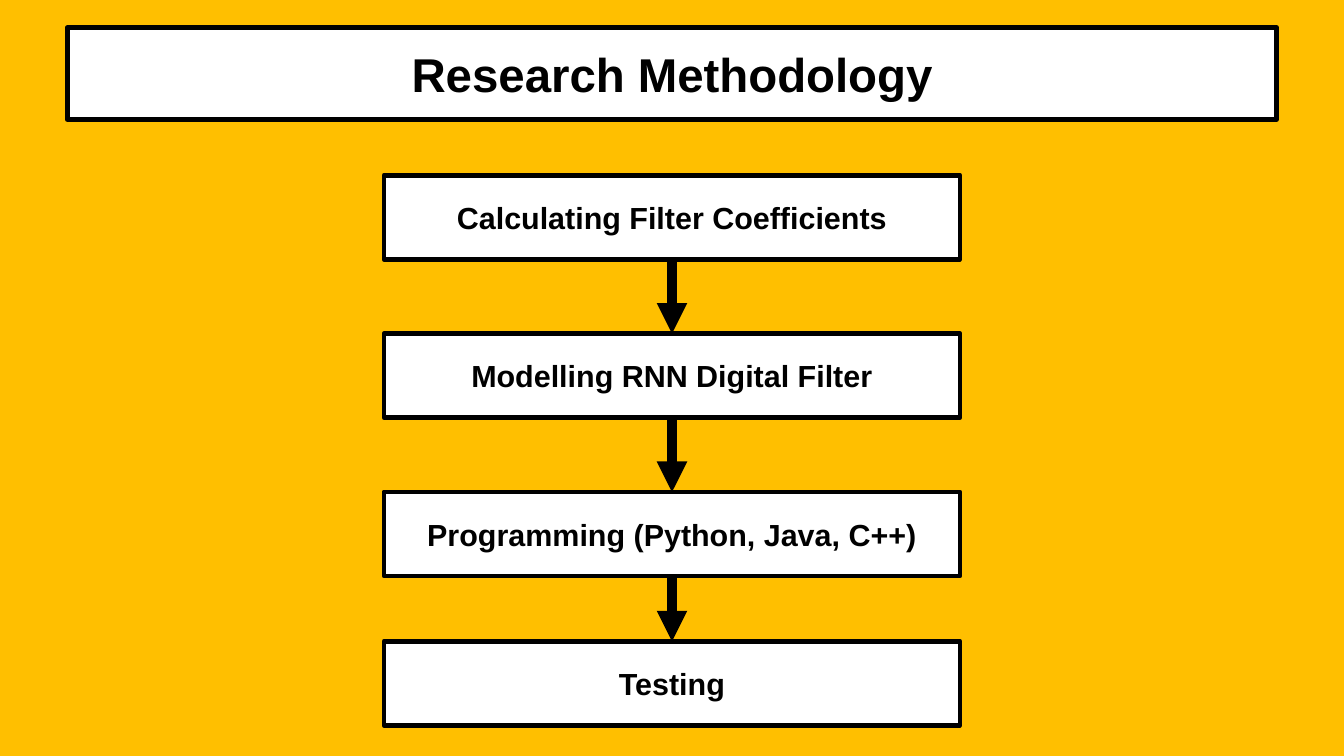
from dataclasses import dataclass
from itertools import pairwise

from lxml.etree import SubElement
from pptx import Presentation
from pptx.dml.color import RGBColor
from pptx.enum.shapes import MSO_CONNECTOR, MSO_SHAPE
from pptx.enum.text import MSO_ANCHOR, PP_ALIGN
from pptx.oxml.ns import qn
from pptx.shapes.autoshape import Shape
from pptx.slide import Slide
from pptx.util import Cm, Pt

COLORS = {"background": "FFBF00", "panel": "FFFFFF", "ink": "000000"}
BOTTOM, TOP = 2, 0


@dataclass(frozen=True)
class Panel:
    text: str
    top: float
    left: float = 8
    width: float = 12
    height: float = 1.75
    size: int = 18


TITLE = Panel("Research Methodology", 0.58, left=1.4, width=25.2, height=1.91, size=28)
STEPS = [
    Panel("Calculating Filter Coefficients", 3.65),
    Panel("Modelling RNN Digital Filter", 6.95),
    Panel("Programming (Python, Java, C++)", 10.25),
    Panel("Testing", 13.36),
]


def color(name: str) -> RGBColor:
    return RGBColor.from_string(COLORS[name])


def draw_panel(page: Slide, panel: Panel) -> Shape:
    box = page.shapes.add_shape(
        MSO_SHAPE.RECTANGLE,
        Cm(panel.left), Cm(panel.top), Cm(panel.width), Cm(panel.height),
    )
    box.shadow.inherit = False
    box.fill.solid()
    box.fill.fore_color.rgb = color("panel")
    box.line.color.rgb = color("ink")
    box.line.width = Pt(2.83)
    frame = box.text_frame
    frame.word_wrap = True
    frame.vertical_anchor = MSO_ANCHOR.MIDDLE
    frame.margin_left = frame.margin_right = Cm(0.05)
    frame.margin_top = frame.margin_bottom = Cm(0.05)
    frame.text = panel.text
    paragraph = frame.paragraphs[0]
    paragraph.alignment = PP_ALIGN.CENTER
    font = paragraph.runs[0].font
    font.name = "Arial"
    font.size = Pt(panel.size)
    font.bold = True
    font.color.rgb = color("ink")
    return box


def draw_arrow(page: Slide, upper: Shape, lower: Shape) -> None:
    arrow = page.shapes.add_connector(MSO_CONNECTOR.STRAIGHT, 0, 0, 0, 0)
    arrow.begin_connect(upper, BOTTOM)
    arrow.end_connect(lower, TOP)
    arrow.line.color.rgb = color("ink")
    arrow.line.width = Pt(6)
    SubElement(arrow.line._get_or_add_ln(), qn("a:tailEnd"), type="triangle")
    SubElement(arrow._element.spPr, qn("a:effectLst"))


def main() -> None:
    deck = Presentation()
    deck.slide_width, deck.slide_height = Cm(28), Cm(15.75)
    page = deck.slides.add_slide(deck.slide_layouts[6])
    page.background.fill.solid()
    page.background.fill.fore_color.rgb = color("background")
    draw_panel(page, TITLE)
    boxes = [draw_panel(page, step) for step in STEPS]
    for upper, lower in pairwise(boxes):
        draw_arrow(page, upper, lower)
    deck.save("out.pptx")


if __name__ == "__main__":
    main()
